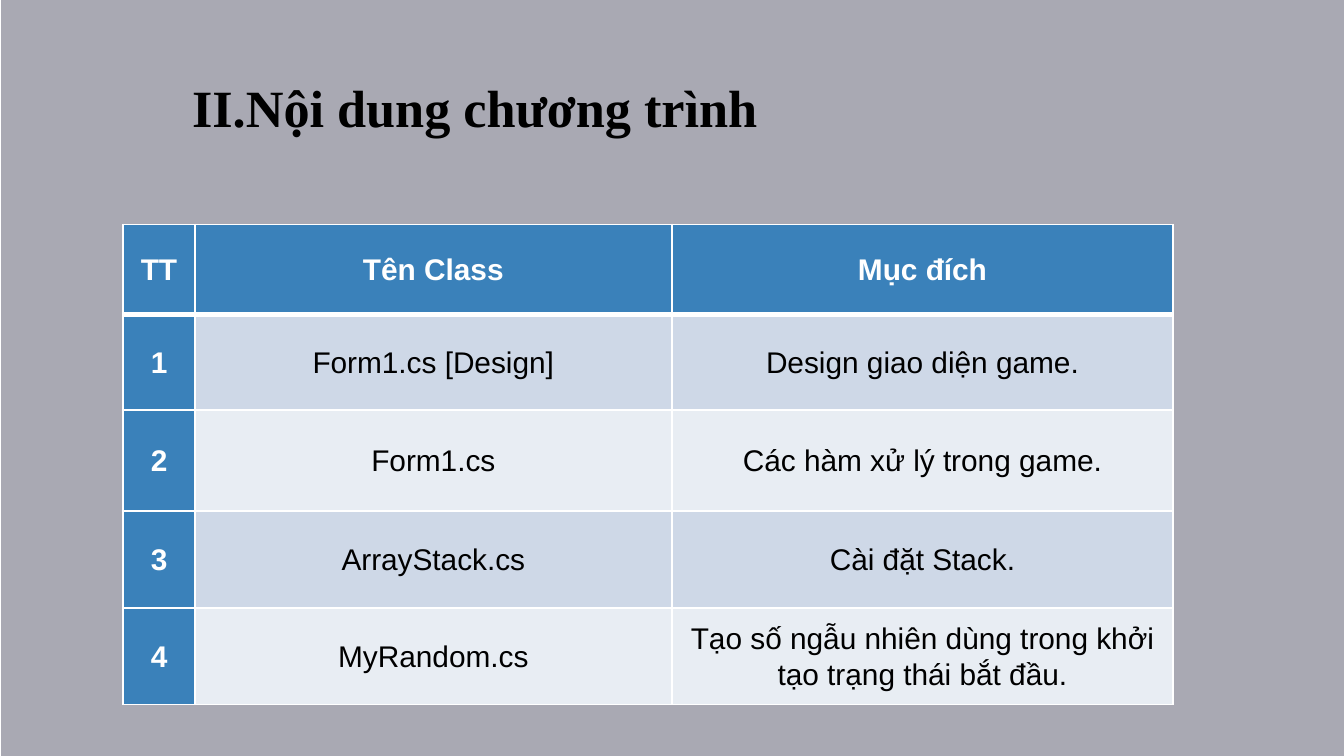
from dataclasses import dataclass

from lxml.etree import SubElement
from pptx import Presentation
from pptx.dml.color import RGBColor
from pptx.enum.shapes import MSO_SHAPE as Shape
from pptx.enum.text import MSO_ANCHOR as Anchor, PP_ALIGN as Align
from pptx.oxml.ns import qn
from pptx.util import Cm, Pt

WHITE, BLACK, BLUE = "FFFFFF", "000000", "3A81BA"
BANDS = ("CED8E7", "E8EDF3")
COLUMN_WIDTHS = (1.35, 9.02, 9.47)
ROW_HEIGHTS = (1.7, 1.8, 1.91, 1.83, 1.83)
HEADINGS = ("TT", "Tên Class", "Mục đích")
CLASSES = (
    ("Form1.cs [Design]", "Design giao diện game."),
    ("Form1.cs", "Các hàm xử lý trong game."),
    ("ArrayStack.cs", "Cài đặt Stack."),
    ("MyRandom.cs", "Tạo số ngẫu nhiên dùng trong khởi tạo trạng thái bắt đầu."),
)
CELL_FORMAT = {
    "margin_left": Cm(0.1),
    "margin_right": Cm(0.1),
    "margin_top": 0,
    "margin_bottom": 0,
    "vertical_anchor": Anchor.MIDDLE,
}
TITLE_FORMAT = {
    "word_wrap": True,
    "margin_left": 0,
    "margin_right": 0,
    "margin_top": 0,
    "margin_bottom": 0,
    "vertical_anchor": Anchor.MIDDLE,
}


@dataclass(frozen=True)
class TextStyle:
    font: str
    size: float
    color: str
    bold: bool
    spacing: float = 1.0


TITLE = TextStyle("Times New Roman", 28, BLACK, True)
HEADER = TextStyle("Arial", 16, WHITE, True, 1.07)
BODY = TextStyle("Arial", 16, BLACK, False, 1.07)


def rgb(value: str) -> RGBColor:
    return RGBColor.from_string(value)


def apply_format(target, values: dict) -> None:
    for name, value in values.items():
        setattr(target, name, value)


def write_text(frame, text: str, style: TextStyle) -> None:
    paragraph = frame.paragraphs[0]
    apply_format(paragraph, {"alignment": Align.CENTER, "line_spacing": style.spacing})
    run = paragraph.add_run()
    run.text = text
    apply_format(run.font, {"name": style.font, "size": Pt(style.size), "bold": style.bold})
    run.font.color.rgb = rgb(style.color)


def draw_backdrop(slide) -> None:
    slide.background.fill.solid()
    slide.background.fill.fore_color.rgb = rgb(WHITE)
    shape = slide.shapes.add_shape(Shape.RECTANGLE, Cm(0.02), 0, Cm(25.38), Cm(14.28))
    shape.shadow.inherit = False
    shape.line.fill.background()
    shape.fill.solid()
    shape.fill.fore_color.rgb = rgb("161732")
    color = shape.fill._xPr.find(f".//{qn('a:srgbClr')}")
    SubElement(color, qn("a:alpha"), val="37000")


def draw_title(slide, text: str) -> None:
    frame = slide.shapes.add_textbox(Cm(3.18), Cm(1.22), Cm(11.58), Cm(1.57)).text_frame
    apply_format(frame, TITLE_FORMAT)
    write_text(frame, text, TITLE)


def add_borders(cell, top: float, bottom: float) -> None:
    properties = cell._tc.get_or_add_tcPr()
    for side, width in {"L": 1, "R": 1, "T": top, "B": bottom}.items():
        line = SubElement(properties, qn(f"a:ln{side}"), w=str(Pt(width)))
        SubElement(SubElement(line, qn("a:solidFill")), qn("a:srgbClr"), val=WHITE)


def draw_table(slide, rows: list[tuple[str, ...]]) -> None:
    table = slide.shapes.add_table(
        len(rows), len(COLUMN_WIDTHS), Cm(2.33), Cm(4.24),
        Cm(sum(COLUMN_WIDTHS)), Cm(sum(ROW_HEIGHTS)),
    ).table
    for column, width in zip(table.columns, COLUMN_WIDTHS):
        column.width = Cm(width)
    for row, height in zip(table.rows, ROW_HEIGHTS):
        row.height = Cm(height)
    for row_index, texts in enumerate(rows):
        for column_index, text in enumerate(texts):
            cell = table.cell(row_index, column_index)
            is_header = row_index == 0 or column_index == 0
            apply_format(cell, CELL_FORMAT)
            add_borders(cell, 3 if row_index == 1 else 1, 3 if row_index == 0 else 1)
            cell.fill.solid()
            cell.fill.fore_color.rgb = rgb(BLUE if is_header else BANDS[(row_index - 1) % 2])
            write_text(cell.text_frame, text, HEADER if is_header else BODY)


def main() -> None:
    """Build the slide that lists the classes of the program."""
    presentation = Presentation()
    apply_format(presentation, {"slide_width": Cm(25.4), "slide_height": Cm(14.28)})
    slide = presentation.slides.add_slide(presentation.slide_layouts[6])
    draw_backdrop(slide)
    draw_title(slide, "II.Nội dung chương trình")
    numbered = [(str(number), *entry) for number, entry in enumerate(CLASSES, 1)]
    draw_table(slide, [HEADINGS, *numbered])
    presentation.save("out.pptx")


if __name__ == "__main__":
    main()
